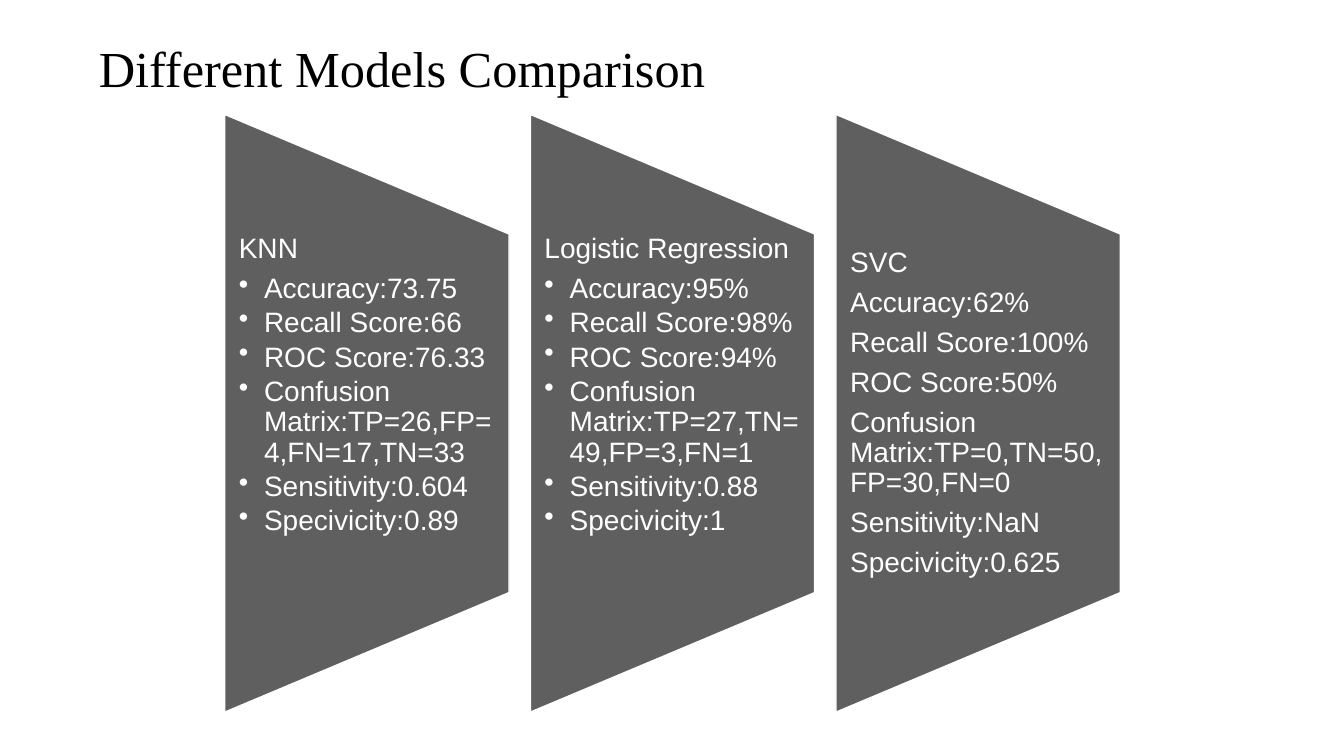
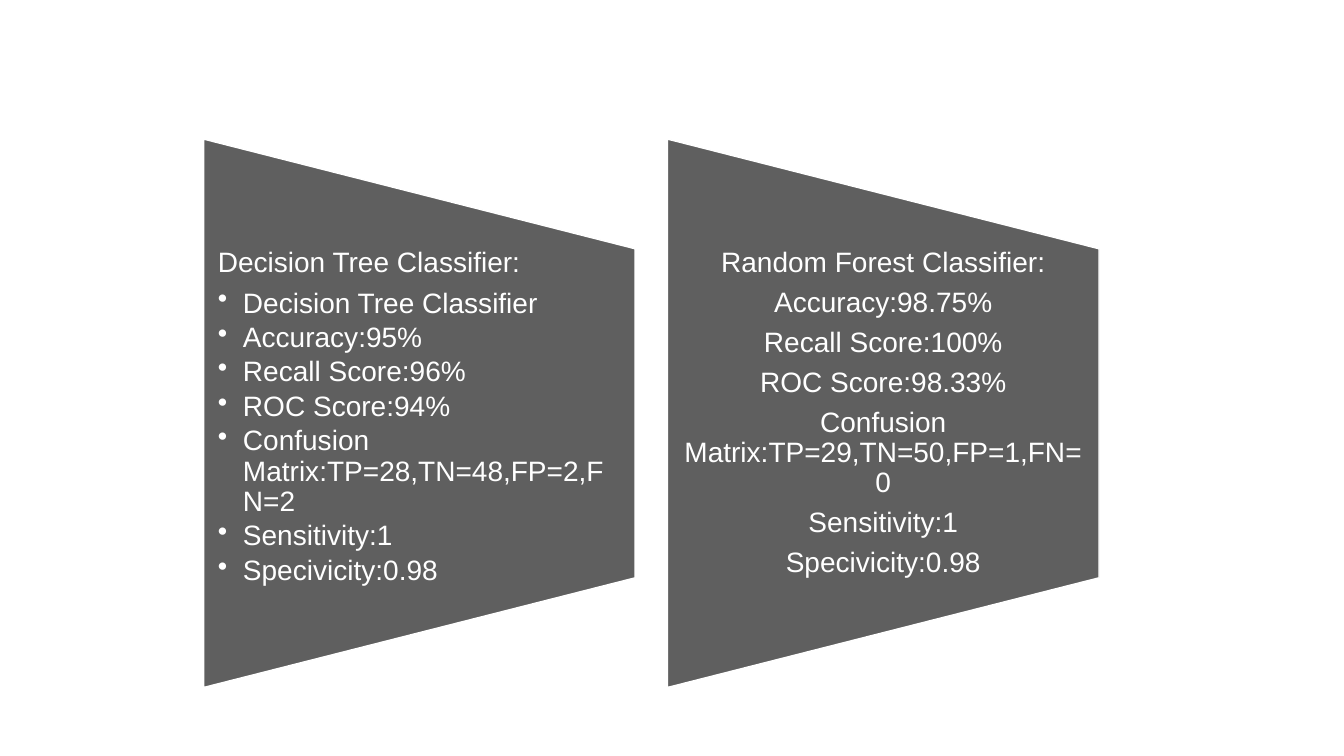
from lxml import etree
from pptx import Presentation, util as u
from pptx.dml.color import RGBColor
from pptx.enum import shapes, text
from pptx.oxml import ns

COLORS = {"panel": "5F5F5F", "panel text": "FFFFFF", "edge": "FFFFFF", "title": "000000"}
LEFT, CENTER = text.PP_ALIGN.LEFT, text.PP_ALIGN.CENTER
TOP, MIDDLE = text.MSO_ANCHOR.TOP, text.MSO_ANCHOR.MIDDLE
TITLE_LAYOUT, BLANK_LAYOUT = 5, 6
GAP = 0.075  # share of a panel's width
MIDLINE = 4.1
INDENT = u.Inches(0.25)

# Each panel: bulleted, alignment, anchor, lines with the model's name first
slides = [
    {"title": "Different Models Comparison", "center": 6.67, "width": 2.82, "height": 5.93,
     "panels": [
         (True, LEFT, TOP, [
             "KNN", "Accuracy:73.75", "Recall Score:66", "ROC Score:76.33",
             "Confusion Matrix:TP=26,FP=4,FN=17,TN=33",
             "Sensitivity:0.604", "Specivicity:0.89"]),
         (True, LEFT, TOP, [
             "Logistic Regression", "Accuracy:95%", "Recall Score:98%", "ROC Score:94%",
             "Confusion Matrix:TP=27,TN=49,FP=3,FN=1",
             "Sensitivity:0.88", "Specivicity:1"]),
         (False, LEFT, MIDDLE, [
             "SVC", "Accuracy:62%", "Recall Score:100%", "ROC Score:50%",
             "Confusion Matrix:TP=0,TN=50,FP=30,FN=0",
             "Sensitivity:NaN", "Specivicity:0.625"]),
     ]},
    {"title": None, "center": 6.46, "width": 4.28, "height": 5.44,
     "panels": [
         (True, LEFT, TOP, [
             "Decision Tree Classifier:", "Decision Tree Classifier", "Accuracy:95%",
             "Recall Score:96%", "ROC Score:94%",
             "Confusion Matrix:TP=28,TN=48,FP=2,FN=2",
             "Sensitivity:1", "Specivicity:0.98"]),
         (False, CENTER, MIDDLE, [
             "Random Forest Classifier:", "Accuracy:98.75%", "Recall Score:100%",
             "ROC Score:98.33%", "Confusion Matrix:TP=29,TN=50,FP=1,FN=0",
             "Sensitivity:1", "Specivicity:0.98"]),
     ]},
]


def write(paragraph, words, size=20, font="Arial", color="panel text", align=LEFT,
          spacing=0.9, after=7, bullet=False):
    paragraph.alignment = align
    paragraph.line_spacing = spacing
    paragraph.space_before = u.Pt(0)
    paragraph.space_after = u.Pt(after)
    run = paragraph.add_run()
    run.text = words
    run.font.size = u.Pt(size)
    run.font.name = font
    run.font.color.rgb = RGBColor.from_string(COLORS[color])
    if bullet:
        paragraph.level = 1
        properties = paragraph._p.get_or_add_pPr()
        properties.set("marL", str(INDENT))
        properties.set("indent", str(-INDENT))
        etree.SubElement(properties, ns.qn("a:buChar"), char="•")


def add_panel(slide, left, width, height, bulleted, align, anchor, lines):
    """Draw a sideways trapezoid with its text over the middle three fifths."""
    trapezoid = slide.shapes.add_shape(
        shapes.MSO_SHAPE.FLOWCHART_MANUAL_OPERATION,
        u.Inches(left + (width - height) / 2), u.Inches(MIDLINE - width / 2),
        u.Inches(height), u.Inches(width))
    trapezoid.rotation = 270
    trapezoid.shadow.inherit = False
    trapezoid.fill.solid()
    trapezoid.fill.fore_color.rgb = RGBColor.from_string(COLORS["panel"])
    trapezoid.line.color.rgb = RGBColor.from_string(COLORS["edge"])
    trapezoid.line.width = u.Pt(1)

    box = slide.shapes.add_textbox(
        u.Inches(left), u.Inches(MIDLINE - height * 0.3),
        u.Inches(width), u.Inches(height * 0.6))
    frame = box.text_frame
    frame.word_wrap = True
    frame.vertical_anchor = anchor
    frame.margin_left = frame.margin_right = u.Inches(0.14)
    frame.margin_top = frame.margin_bottom = 0
    for index, line in enumerate(lines):
        paragraph = frame.add_paragraph() if index else frame.paragraphs[0]
        bullet = bulleted and index > 0
        write(paragraph, line, align=align, bullet=bullet, after=3 if bullet else 7)


presentation = Presentation()
presentation.slide_width = u.Inches(13.33)
presentation.slide_height = u.Inches(7.5)

for content in slides:
    layout = TITLE_LAYOUT if content["title"] else BLANK_LAYOUT
    slide = presentation.slides.add_slide(presentation.slide_layouts[layout])
    if content["title"]:
        title = slide.shapes.title
        title.left, title.top = u.Inches(0.88), u.Inches(0.21)
        title.width, title.height = u.Inches(11.33), u.Inches(0.92)
        title.text_frame.vertical_anchor = MIDDLE
        write(title.text_frame.paragraphs[0], content["title"], size=36,
              font="Times New Roman", color="title", spacing=1.0, after=0)

    width, count = content["width"], len(content["panels"])
    pitch = width * (1 + GAP)
    first = content["center"] - (pitch * (count - 1) + width) / 2
    for column, panel in enumerate(content["panels"]):
        add_panel(slide, first + column * pitch, width, content["height"], *panel)

presentation.save("out.pptx")
